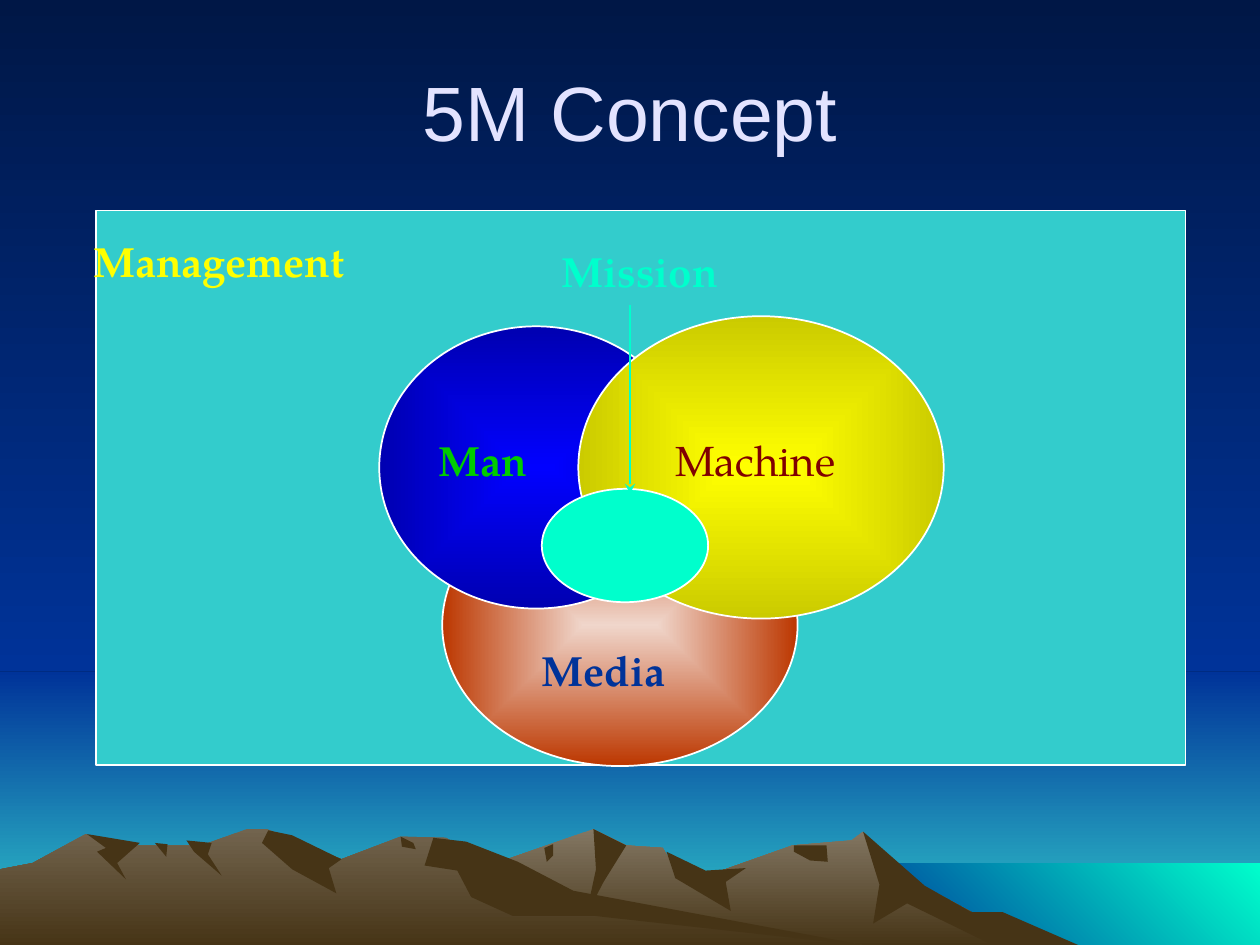
import pptx
import pptx.util
import pptx.dml.color
import pptx.enum.shapes
import pptx.enum.text
import pptx.oxml
import pptx.oxml.ns

PX = 9144  # EMU per px, 100 px to the inch
THEME = {
    "night": "001746", "deep": "003399", "turquoise": "33CCCC", "mint": "00FFCC",
    "ridge": "837763", "slope": "72644E", "earth": "463416",
    "white": "FFFFFF", "yellow": "FFFF00", "olive": "CBCB00",
    "blue": "0101FF", "navy": "0000B1", "blush": "F0D6CB", "rust": "BC3700",
    "lavender": "E3E3FF", "green": "00CC00", "maroon": "800000",
    "title_font": "Arial", "label_font": "TeX Gyre Pagella",
    "title_size": 44, "label_size": 24, "line_width": 1,
}
SHAPE = pptx.enum.shapes.MSO_SHAPE
ANCHOR = pptx.enum.text.MSO_ANCHOR
AUTO_SIZE = pptx.enum.text.MSO_AUTO_SIZE
ALIGN = pptx.enum.text.PP_ALIGN


def rgb(name):
    return pptx.dml.color.RGBColor.from_string(THEME[name])


def paint(fill, colours, angle=270):
    """One colour gives a solid fill; two give a gradient, from the centre out if angle is None."""
    if len(colours) == 1:
        fill.solid()
        fill.fore_color.rgb = rgb(colours[0])
        return
    fill.gradient()
    for stop, colour in zip(fill.gradient_stops, colours):
        stop.color.rgb = rgb(colour)
    if angle is not None:
        fill.gradient_angle = angle


presentation = pptx.Presentation()
presentation.slide_width = 1000 * PX
presentation.slide_height = 750 * PX
slide = presentation.slides.add_slide(presentation.slide_layouts[6])
paint(slide.background.fill, ["night", "deep"])

# Horizon, sky and water
for box, colours, angle in [
    ((0, 533, 1000, 217), ["deep", "turquoise"], 270),
    ((0, 0, 1000, 533), ["night", "deep"], 270),
    ((683, 685, 317, 67), ["mint", "deep"], 225),
]:
    shape = slide.shapes.add_shape(SHAPE.RECTANGLE, *[value * PX for value in box])
    shape.shadow.inherit = False
    paint(shape.fill, colours, angle)
    shape.line.fill.background()

# Mountains: each lit range is followed by its shaded faces
mountains = [
    (["ridge", "earth"], [
        (821, 751), (723, 698), (685, 660), (676, 667), (629, 671), (570, 692), (536, 690),
        (526, 673), (497, 671), (471, 658), (394, 685), (327, 709), (258, 751)]),
    (["earth"], [
        (771, 724), (734, 703), (685, 660), (698, 702), (693, 733), (720, 717), (792, 752),
        (858, 751), (796, 724)]),
    (["earth"], [(471, 658), (473, 690), (465, 727), (479, 700), (497, 671)]),
    (["earth"], [(529, 676), (536, 697), (580, 723), (576, 700), (592, 689), (560, 691)]),
    (["earth"], [(630, 671), (630, 676), (643, 683), (657, 684), (656, 671)]),
    (["earth"], [(432, 673), (439, 670), (439, 679), (434, 684)]),
    (["slope", "earth"], [
        (690, 751), (432, 712), (354, 665), (318, 664), (271, 682), (212, 658), (196, 658),
        (160, 671), (94, 671), (68, 662), (26, 685), (0, 690), (0, 751)]),
    (["earth"], [
        (213, 659), (208, 669), (232, 690), (267, 709), (261, 689), (271, 682), (232, 663)]),
    (["earth"], [
        (344, 665), (337, 687), (363, 691), (374, 712), (407, 727), (472, 727), (690, 751),
        (455, 707), (411, 684), (370, 668)]),
    (["earth"], [(318, 664), (328, 669), (330, 674), (319, 672)]),
    (["earth"], [(148, 667), (168, 669), (165, 678), (176, 695), (154, 676)]),
    (["earth"], [(123, 669), (133, 670), (132, 680)]),
    (["earth"], [
        (69, 662), (111, 669), (93, 685), (100, 698), (77, 676), (84, 673)]),
]
for colours, points in mountains:
    builder = slide.shapes.build_freeform(*points[0], scale=PX)
    builder.add_line_segments(points[1:], close=True)
    shape = builder.convert_to_shape()
    shape.shadow.inherit = False
    paint(shape.fill, colours)
    shape.line.fill.background()

# Management field with the overlapping Ms; the mission oval lies on top
for kind, box, colours in [
    (SHAPE.RECTANGLE, (76, 167, 865, 440), ["turquoise"]),
    (SHAPE.OVAL, (351, 384, 282, 224), ["blush", "rust"]),
    (SHAPE.OVAL, (301, 259, 249, 224), ["blue", "navy"]),
    (SHAPE.OVAL, (459, 251, 290, 240), ["yellow", "olive"]),
    (SHAPE.OVAL, (430, 388, 132, 90), ["mint"]),
]:
    shape = slide.shapes.add_shape(kind, *[value * PX for value in box])
    shape.shadow.inherit = False
    paint(shape.fill, colours, None)
    shape.line.color.rgb = rgb("white")
    shape.line.width = pptx.util.Pt(THEME["line_width"])
    for linear in shape._element.spPr.findall(".//" + pptx.oxml.ns.qn("a:lin")):
        linear.getparent().replace(linear, pptx.oxml.parse_xml(
            f'<a:path {pptx.oxml.ns.nsdecls("a")} path="rect">'
            '<a:fillToRect l="50000" t="50000" r="50000" b="50000"/></a:path>'))

# Arrow from the mission label to its oval
arrow = slide.shapes.add_connector(
    pptx.enum.shapes.MSO_CONNECTOR.STRAIGHT, 500 * PX, 242 * PX, 500 * PX, 392 * PX)
arrow.line.color.rgb = rgb("mint")
arrow.line.width = pptx.util.Pt(THEME["line_width"])
arrow.line._get_or_add_ln().append(pptx.oxml.parse_xml(
    f'<a:tailEnd {pptx.oxml.ns.nsdecls("a")} type="stealth"/>'))
arrow._element.spPr.append(pptx.oxml.parse_xml(
    f'<a:effectLst {pptx.oxml.ns.nsdecls("a")}/>'))

# Title and labels
for text, box, colour, bold, role in [
    ("5M Concept", (50, 25, 900, 125), "lavender", False, "title"),
    ("Man", (338, 340, 94, 50), "green", True, "label"),
    ("Machine", (526, 340, 158, 50), "maroon", False, "label"),
    ("Media", (420, 507, 124, 50), "deep", True, "label"),
    ("Mission", (436, 190, 144, 50), "mint", True, "label"),
    ("Management", (64, 182, 239, 50), "yellow", True, "label"),
]:
    text_box = slide.shapes.add_textbox(*[value * PX for value in box])
    frame = text_box.text_frame
    paragraph = frame.paragraphs[0]
    if role == "title":
        frame.word_wrap = True
        frame.vertical_anchor = ANCHOR.MIDDLE
        paragraph.alignment = ALIGN.CENTER
    else:
        frame.word_wrap = False
        frame.auto_size = AUTO_SIZE.SHAPE_TO_FIT_TEXT
    run = paragraph.add_run()
    run.text = text
    run.font.name = THEME[role + "_font"]
    run.font.size = pptx.util.Pt(THEME[role + "_size"])
    run.font.bold = bold
    run.font.color.rgb = rgb(colour)

presentation.save("out.pptx")
